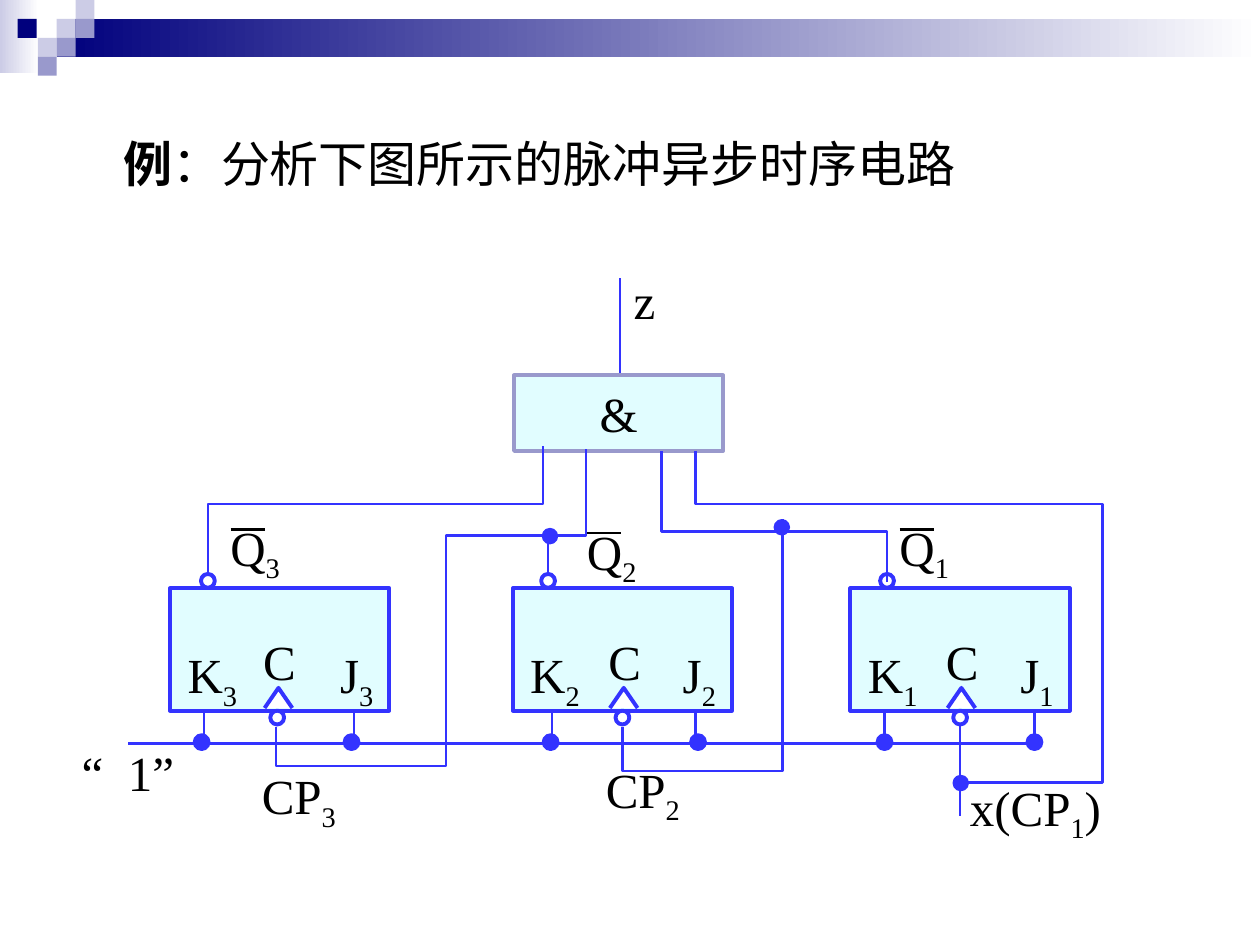
from dataclasses import dataclass
from typing import NamedTuple

from lxml.etree import SubElement
from pptx import Presentation
from pptx.dml.color import RGBColor
from pptx.enum.shapes import MSO_CONNECTOR, MSO_SHAPE
from pptx.enum.text import MSO_ANCHOR, MSO_AUTO_SIZE, PP_ALIGN
from pptx.oxml.ns import qn
from pptx.util import Inches, Pt

COLUMNS, ROWS = 100, 75
NAVY, LILAC, PALE_LILAC = "00007D", "9999CC", "CCCCE6"
WIRE, BODY, WHITE, BLACK = "3333FF", "E1FDFF", "FFFFFF", "000000"
BLOCK_TOP, BLOCK_WIDTH, BLOCK_HEIGHT = 46.7, 17.4, 9.7
LABEL_HEIGHT, BUBBLE, RAIL = 5.7, 1.1, 59

deck = Presentation()
deck.slide_width, deck.slide_height = Inches(10), Inches(7.5)
page = deck.slides.add_slide(deck.slide_layouts[6])


class Point(NamedTuple):
    column: float
    row: float


class Tile(NamedTuple):
    left: float
    top: float
    color: str


class Label(NamedTuple):
    text: str
    left: float
    top: float
    width: float


@dataclass
class FlipFlop:
    digit: str
    left: float
    clock: float
    output: float
    leads: tuple[float, float]
    dots: tuple[float, float]
    name: Point


TILES = [
    Tile(4.5, 1.5, PALE_LILAC), Tile(6, 0, PALE_LILAC), Tile(6, 1.5, LILAC),
    Tile(3, 3, PALE_LILAC), Tile(1.4, 1.5, NAVY), Tile(4.5, 3, LILAC), Tile(3, 4.5, LILAC),
]
FLIP_FLOPS = [
    FlipFlop("3", 13.5, 22.1, 16.5, (16.2, 28.1), (16, 27.9), Point(17.3, 40.6)),
    FlipFlop("2", 40.7, 49.5, 43.5, (43.8, 55.2), (43.7, 55.4), Point(45.6, 40.9)),
    FlipFlop("1", 67.5, 76.3, 70.4, (70.2, 82.1), (70.2, 82.1), Point(70.4, 40.6)),
]
LABELS = [
    Label("CP_3", 19.8, 60.3, 8.1), Label("CP_2", 47.1, 59.8, 8.1),
    Label("x(CP_1_)", 76, 61.2, 13.4), Label("z", 49.3, 21, 3.7),
]
WIRES = [
    [(21.9, 57.7), (21.9, 60.8), (35.4, 60.8), (35.4, 42.5), (46.5, 42.5), (46.5, 35.6)],
    [(49.4, 57.7), (49.4, 61.2), (62.1, 61.2), (62.1, 41.2)],
    [(16.5, 45.6), (16.5, 40), (43.1, 40), (43.1, 35.4)],
    [(55.2, 35.8), (55.2, 40), (87.5, 40), (87.5, 62.1), (76.3, 62.1)],
    [(70.4, 46.2), (70.4, 42.2), (52.5, 42.2), (52.5, 35.8)],
]
STRAIGHT_WIRES = [
    (Point(76.2, 57.5), Point(76.2, 64.8)), (Point(43.5, 42.5), Point(43.5, 45.6)),
    (Point(49.2, 29.6), Point(49.2, 22.1)), (Point(10.2, RAIL), Point(82.3, RAIL)),
]
JUNCTIONS = [Point(43.65, 42.55), Point(76.25, 62.15), Point(62.05, 41.85)]


def across(columns: float) -> int:
    return round(deck.slide_width * columns / COLUMNS)


def down(rows: float) -> int:
    return round(deck.slide_height * rows / ROWS)


def paint(color_format, color: str) -> None:
    color_format.rgb = RGBColor.from_string(color)


def finish(shape, fill: str | None, line: str | None, weight: float) -> None:
    shape.shadow.inherit = False
    if fill:
        shape.fill.solid()
        paint(shape.fill.fore_color, fill)
    else:
        shape.fill.background()
    if line:
        paint(shape.line.color, line)
        shape.line.width = Pt(weight)
    else:
        shape.line.fill.background()


def draw_shape(kind, left: float, top: float, width: float, height: float,
               fill: str, line: str | None = None, weight: float = 2.25):
    shape = page.shapes.add_shape(kind, across(left), down(top), across(width), down(height))
    finish(shape, fill, line, weight)
    return shape


def draw_gradient(left: float, top: float, width: float, height: float, start: str) -> None:
    band = draw_shape(MSO_SHAPE.RECTANGLE, left, top, width, height, start)
    band.fill.gradient()
    band.fill.gradient_angle = 0
    for stop, color, position in zip(band.fill.gradient_stops, (start, WHITE), (0, 1)):
        paint(stop.color, color)
        stop.position = position


def draw_circle(center: Point, size: float, fill: str, weight: float) -> None:
    draw_shape(MSO_SHAPE.OVAL, center.column - size / 2, center.row - size / 2,
               size, size, fill, WIRE, weight)


def draw_path(points, fill: str | None = None, weight: float = 1.5) -> None:
    corners = [(across(column), down(row)) for column, row in points]
    builder = page.shapes.build_freeform(*corners[0], scale=1.0)
    builder.add_line_segments(corners[1:], close=False)
    finish(builder.convert_to_shape(), fill, WIRE, weight)


def draw_line(start: Point, end: Point, color: str = WIRE) -> None:
    line = page.shapes.add_connector(MSO_CONNECTOR.STRAIGHT, across(start.column),
                                     down(start.row), across(end.column), down(end.row))
    paint(line.line.color, color)
    line.line.width = Pt(1.5)
    SubElement(line._element.spPr, qn("a:effectLst"))


def write(para, text: str, *, bold: bool = False, baseline: int = 0, spacing: int = 0) -> None:
    span = para.add_run()
    span.text = text
    span.font.name = "Times New Roman"
    span.font.size = Pt(28)
    span.font.bold = bold
    paint(span.font.color, BLACK)
    for name, value in (("baseline", baseline), ("spc", spacing)):
        if value:
            span._r.get_or_add_rPr().set(name, str(value))


def add_box(left: float, top: float, width: float):
    box = page.shapes.add_textbox(across(left), down(top), across(width), down(LABEL_HEIGHT))
    box.text_frame.word_wrap = False
    box.text_frame.auto_size = MSO_AUTO_SIZE.SHAPE_TO_FIT_TEXT
    return box.text_frame.paragraphs[0]


def draw_label(label: Label) -> None:
    para = add_box(label.left, label.top, label.width)
    for index, part in enumerate(label.text.split("_")):
        write(para, part, baseline=-25000 * (index % 2))


def draw_flip_flop(item: FlipFlop) -> None:
    bottom = BLOCK_TOP + BLOCK_HEIGHT
    draw_shape(MSO_SHAPE.RECTANGLE, item.left, BLOCK_TOP, BLOCK_WIDTH, BLOCK_HEIGHT, BODY, WIRE)
    draw_label(Label(f"K_{item.digit}", item.left + 0.4, 50.7, 6.1))
    draw_label(Label("C", item.clock - 2.2, 49.6, 4.6))
    draw_label(Label(f"J_{item.digit}", item.left + 12.5, 50.7, 4.8))
    draw_path([(item.clock - 1.1, 56.2), (item.clock, 54.6), (item.clock + 1.1, 56.2)], WHITE, 2.25)
    draw_circle(Point(item.clock - 0.1, 56.95), BUBBLE, WHITE, 2.25)
    draw_circle(Point(item.output, 46.1), BUBBLE, WHITE, 2.25)
    draw_label(Label(f"Q_{item.digit}", *item.name, 6.1))
    bar = Point(item.name.column + 1, item.name.row + 1.4)
    draw_line(bar, Point(bar.column + 2.7, bar.row), BLACK)
    for lead, dot in zip(item.leads, item.dots):
        draw_line(Point(lead, bottom), Point(lead, RAIL))
        draw_circle(Point(dot, RAIL - 0.1), 1.2, WIRE, 1.5)


def draw_gate() -> None:
    gate = draw_shape(MSO_SHAPE.RECTANGLE, 40.8, 29.8, 16.6, 6, BODY, LILAC)
    gate.text_frame.vertical_anchor = MSO_ANCHOR.MIDDLE
    para = gate.text_frame.paragraphs[0]
    para.alignment = PP_ALIGN.CENTER
    write(para, "&")


def main() -> None:
    draw_gradient(0, 0, 3.1, 5.8, PALE_LILAC)
    draw_gradient(4.5, 1.5, 95.5, 3, NAVY)
    for tile in TILES:
        draw_shape(MSO_SHAPE.RECTANGLE, tile.left, tile.top, 1.5, 1.5, tile.color)
    title = add_box(8.8, 10.1, 68)
    write(title, "例", bold=True)
    write(title, "：分析下图所示的脉冲异步时序电路")
    for item in FLIP_FLOPS:
        draw_flip_flop(item)
    draw_gate()
    for label in LABELS:
        draw_label(label)
    constant = add_box(5.5, 58.4, 9.3)
    write(constant, "“")
    write(constant, " ", spacing=700)
    write(constant, "1”")
    for wire in WIRES:
        draw_path(wire)
    for start, end in STRAIGHT_WIRES:
        draw_line(start, end)
    for junction in JUNCTIONS:
        draw_circle(junction, BUBBLE, WIRE, 1.5)
    deck.save("out.pptx")


if __name__ == "__main__":
    main()
